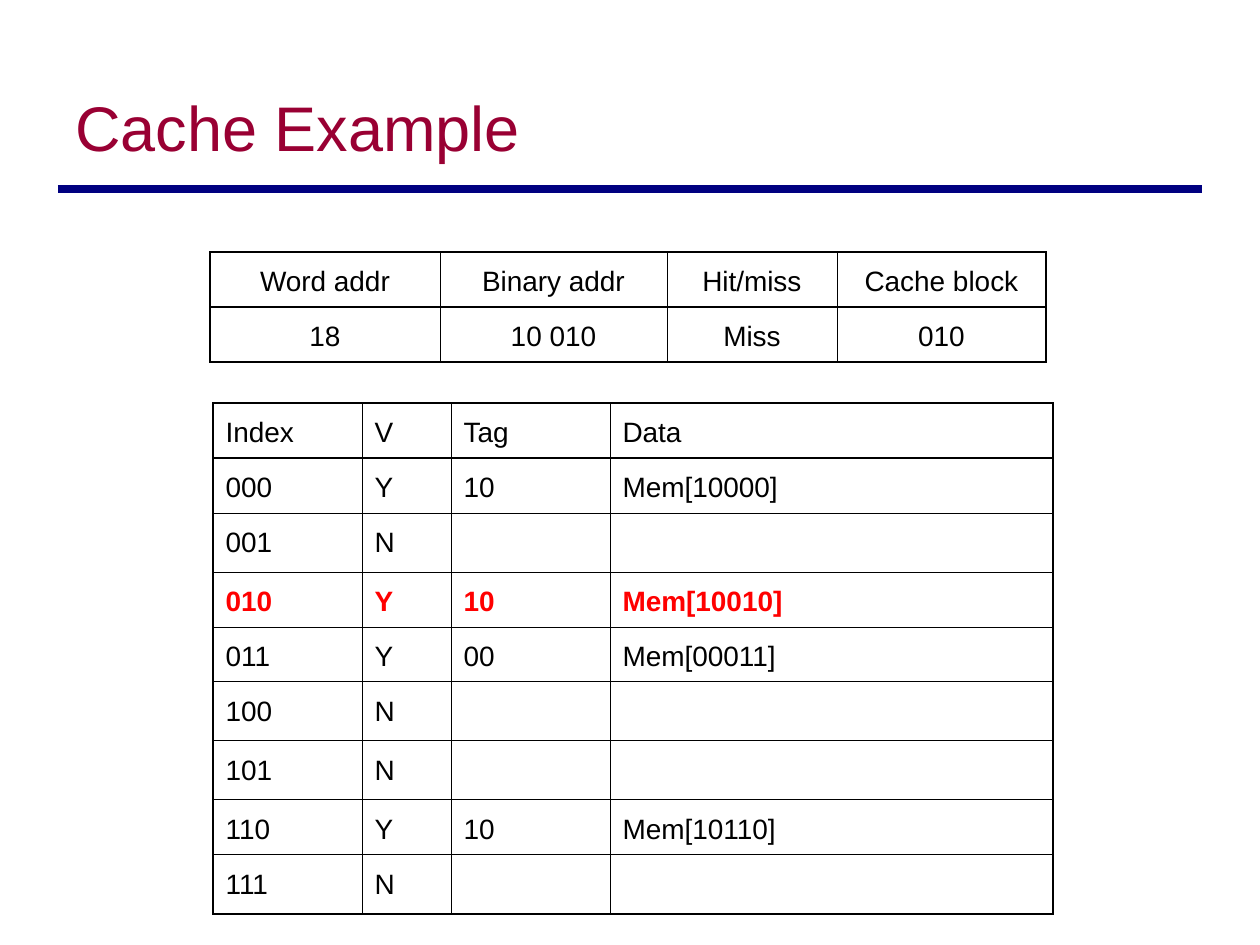
from dataclasses import dataclass

from lxml import etree
from pptx import Presentation, util as u
from pptx.dml.color import RGBColor
from pptx.enum import shapes, text
from pptx.oxml import ns


@dataclass(frozen=True)
class Theme:
    """Colours, type sizes and line widths of the slide."""
    font: str = "Arial"
    title: str = "990033"
    rule: str = "000080"
    ink: str = "000000"
    hot: str = "FF0000"
    head: int = 36
    body: int = 16
    lead: float = 1.26
    bar: float = 4.5
    edge: float = 1.08
    under: float = 0.75
    thin: float = 0.45


LOOK = Theme()
LOOKUP = [
    ["Word addr", "Binary addr", "Hit/miss", "Cache block"],
    ["18", "10 010", "Miss", "010"],
]
CACHE = [
    ["Index", "V", "Tag", "Data"],
    ["000", "Y", "10", "Mem[10000]"],
    ["001", "N", "", ""],
    ["010", "Y", "10", "Mem[10010]"],
    ["011", "Y", "00", "Mem[00011]"],
    ["100", "N", "", ""],
    ["101", "N", "", ""],
    ["110", "Y", "10", "Mem[10110]"],
    ["111", "N", "", ""],
]


def px(n):
    """Turn pixels at 126 to the inch into EMU."""
    return u.Emu(round(n * 914400 / 126))


def write(frame, words, size=LOOK.body, color=LOOK.ink, bold=False, align=text.PP_ALIGN.LEFT):
    """Put one formatted paragraph into a text frame."""
    para = frame.paragraphs[0]
    para.alignment = align
    para.line_spacing = LOOK.lead
    run = para.add_run()
    run.text = words
    run.font.name = LOOK.font
    run.font.size = u.Pt(size)
    run.font.bold = bold
    run.font.color.rgb = RGBColor.from_string(color)


def add_title(slide, words):
    """Add the heading and the rule below it."""
    box = slide.shapes.add_textbox(px(63), px(38), px(1134), px(157))
    frame = box.text_frame
    frame.word_wrap = True
    frame.vertical_anchor = text.MSO_ANCHOR.MIDDLE
    write(frame, words, size=LOOK.head, color=LOOK.title)


def add_rule(slide, left, right, y):
    """Add a thick level line."""
    line = slide.shapes.add_connector(shapes.MSO_CONNECTOR.STRAIGHT, px(left), px(y), px(right), px(y))
    line.line.color.rgb = RGBColor.from_string(LOOK.rule)
    line.line.width = u.Pt(LOOK.bar)
    etree.SubElement(line._element.spPr, ns.qn("a:effectLst"))


def border(cell, widths):
    """Draw the left, right, top and bottom borders of a cell."""
    props = cell._tc.get_or_add_tcPr()
    for side, width in zip("LRTB", widths):
        line = etree.SubElement(props, ns.qn(f"a:ln{side}"), w=str(u.Pt(width)))
        fill = etree.SubElement(line, ns.qn("a:solidFill"))
        etree.SubElement(fill, ns.qn("a:srgbClr"), val=LOOK.ink)


def add_grid(slide, left, top, cols, rows, align=text.PP_ALIGN.LEFT, hot=None):
    """Add a ruled table, with one row marked if asked for."""
    tall = [55 if all(row) else 59 for row in rows]
    shape = slide.shapes.add_table(len(rows), len(cols), px(left), px(top), px(sum(cols)), px(sum(tall)))
    table = shape.table
    table.first_row = table.horz_banding = False
    for col, width in zip(table.columns, cols):
        col.width = px(width)
    lines = [LOOK.edge, LOOK.under] + [LOOK.thin] * (len(rows) - 2) + [LOOK.edge]
    sides = [LOOK.edge] + [LOOK.thin] * (len(cols) - 1) + [LOOK.edge]
    for r, row in enumerate(rows):
        table.rows[r].height = px(tall[r])
        for c, words in enumerate(row):
            cell = table.cell(r, c)
            border(cell, (sides[c], sides[c + 1], lines[r], lines[r + 1]))
            cell.fill.background()
            if words:
                color = LOOK.hot if r == hot else LOOK.ink
                write(cell.text_frame, words, color=color, bold=r == hot, align=align)


def main():
    """Build the slide and save it."""
    deck = Presentation()
    deck.slide_width, deck.slide_height = px(1260), px(945)
    slide = deck.slides.add_slide(deck.slide_layouts[6])
    add_rule(slide, 58, 1202, 189)
    add_title(slide, "Cache Example")
    add_grid(slide, 213, 403, [149, 89, 159, 443], CACHE, hot=3)
    add_grid(slide, 210, 252, [230, 227, 170, 209], LOOKUP, align=text.PP_ALIGN.CENTER)
    deck.save("out.pptx")


if __name__ == "__main__":
    main()
